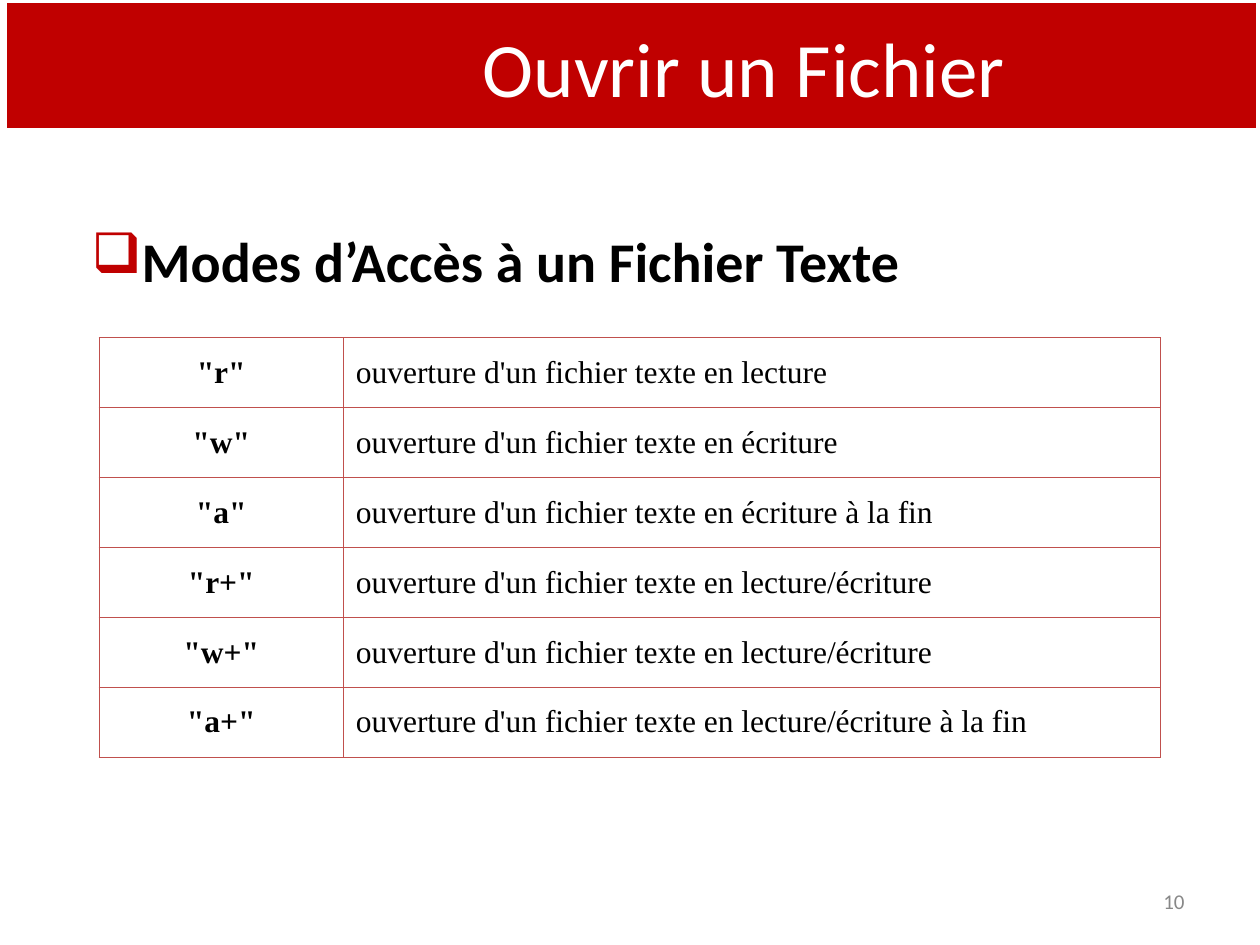
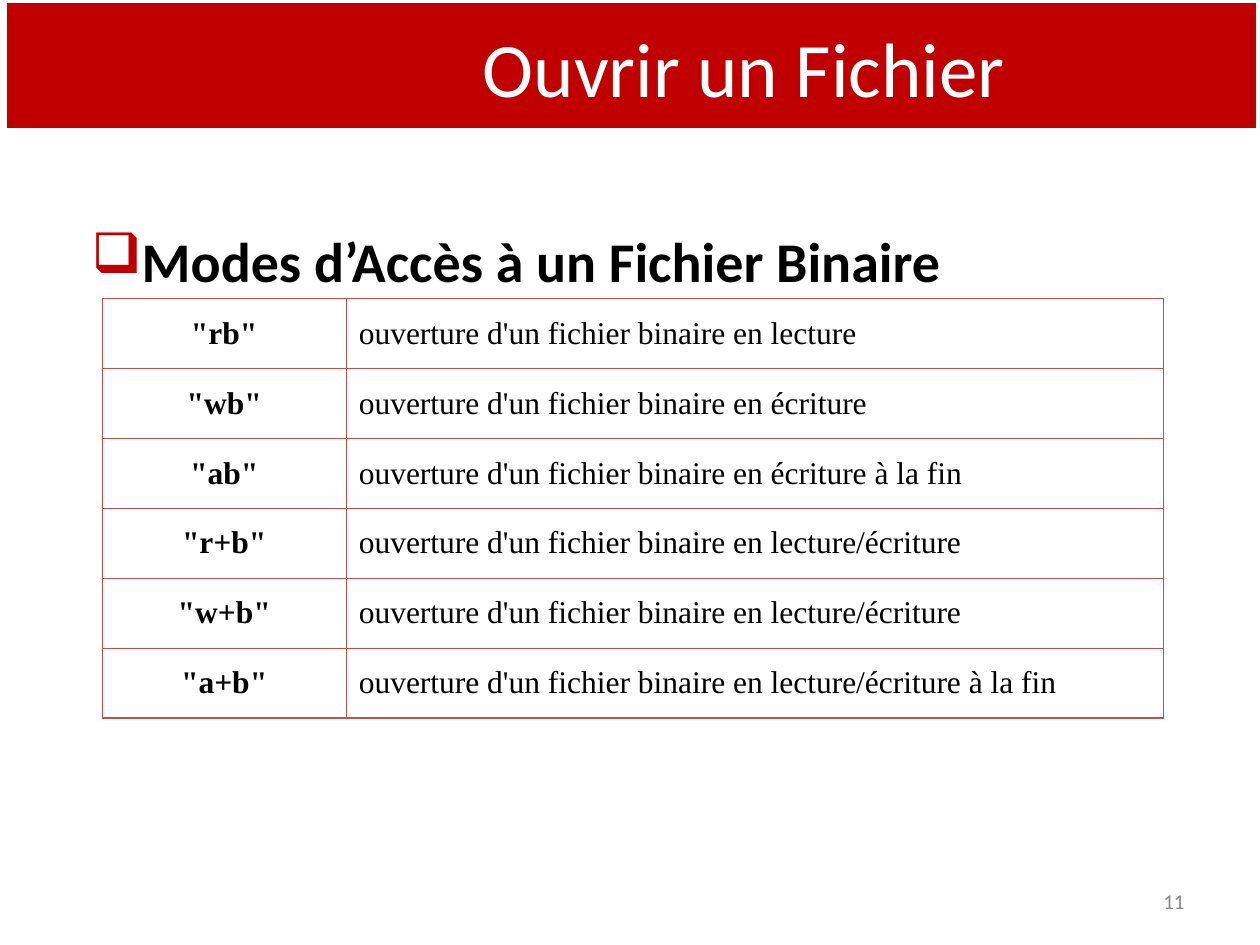
from lxml.etree import SubElement
from pptx import Presentation
from pptx.dml.color import RGBColor
from pptx.enum.shapes import MSO_SHAPE
from pptx.enum.text import MSO_ANCHOR, MSO_AUTO_SIZE, PP_ALIGN
from pptx.oxml.ns import qn
from pptx.util import Cm, Pt

# Content
TITLE = "Ouvrir un Fichier"
FIRST_NUMBER = 10
ACCESS = ["lecture", "écriture", "écriture à la fin",
          "lecture/écriture", "lecture/écriture", "lecture/écriture à la fin"]
SLIDES = [
    {"kind": "Texte", "modes": ["r", "w", "a", "r+", "w+", "a+"],
     "table_at": (2.0, 6.81)},
    {"kind": "Binaire", "modes": ["rb", "wb", "ab", "r+b", "w+b", "a+b"],
     "table_at": (2.06, 6.02)},
]

# Shared style
RED = RGBColor(0xC0, 0x00, 0x00)
BORDER = RGBColor(0xC0, 0x50, 0x4D)
WHITE = RGBColor(0xFF, 0xFF, 0xFF)
BLACK = RGBColor(0x00, 0x00, 0x00)
GREY = RGBColor(0x88, 0x88, 0x88)
BODY_FONT, TABLE_FONT = "Calibri", "Times New Roman"
COLUMN_WIDTHS = (4.92, 16.47)
ROW_HEIGHT = 1.41


def write(frame, text, size, color, font=BODY_FONT, bold=False,
          align=PP_ALIGN.LEFT, anchor=MSO_ANCHOR.MIDDLE):
    frame.text = text
    frame.word_wrap = True
    frame.vertical_anchor = anchor
    paragraph = frame.paragraphs[0]
    paragraph.alignment = align
    paragraph.font.name = font
    paragraph.font.size = Pt(size)
    paragraph.font.bold = bold
    paragraph.font.color.rgb = color
    return paragraph


def add_text(slide, box, *args, **style):
    shape = slide.shapes.add_textbox(*map(Cm, box))
    return write(shape.text_frame, *args, **style)


def add_title_band(slide):
    band = slide.shapes.add_shape(MSO_SHAPE.RECTANGLE, Cm(0.1), Cm(0.03), Cm(25.25), Cm(2.59))
    band.shadow.inherit = False
    band.fill.solid()
    band.fill.fore_color.rgb = RED
    band.line.color.rgb = WHITE
    band.line.width = Pt(2)
    title = slide.shapes.title
    title.left, title.top, title.width, title.height = map(Cm, (4.75, 0.46, 20.5, 1.75))
    write(title.text_frame, TITLE, 44, WHITE, align=PP_ALIGN.CENTER)
    title.text_frame.auto_size = MSO_AUTO_SIZE.NONE
    # The band goes behind the title
    title._element.addprevious(band._element)


def add_heading(slide, text):
    paragraph = add_text(slide, (1.27, 4.45, 22.86, 12.57), text, 32, BLACK,
                         bold=True, anchor=MSO_ANCHOR.TOP)
    paragraph.space_before = Pt(3.6)
    properties = paragraph._p.get_or_add_pPr()
    properties.set("marL", str(Cm(1.27)))
    properties.set("indent", str(Cm(-0.94)))
    bullet_color = SubElement(properties, qn("a:buClr"))
    SubElement(bullet_color, qn("a:srgbClr"), val=str(RED))
    SubElement(properties, qn("a:buChar"), char="❑")


def add_borders(cell):
    properties = cell._tc.get_or_add_tcPr()
    for position, side in enumerate(("lnL", "lnR", "lnT", "lnB")):
        line = SubElement(properties, qn("a:" + side), w=str(Pt(0.75)))
        fill = SubElement(line, qn("a:solidFill"))
        SubElement(fill, qn("a:srgbClr"), val=str(BORDER))
        properties.insert(position, line)


def add_mode_table(slide, kind, modes, table_at):
    size = (sum(COLUMN_WIDTHS), ROW_HEIGHT * len(modes))
    table = slide.shapes.add_table(len(modes), 2, *map(Cm, table_at + size)).table
    table.first_row = table.horz_banding = False
    for column, width in zip(table.columns, COLUMN_WIDTHS):
        column.width = Cm(width)
    for row, (mode, access) in enumerate(zip(modes, ACCESS)):
        code, meaning = table.cell(row, 0), table.cell(row, 1)
        write(code.text_frame, f'"{mode}"', 18, BLACK, TABLE_FONT, True, PP_ALIGN.CENTER)
        write(meaning.text_frame, f"ouverture d'un fichier {kind.lower()} en {access}",
              18, BLACK, TABLE_FONT)
        code.margin_left = code.margin_right = Cm(0.03)
        for cell in (code, meaning):
            cell.vertical_anchor = MSO_ANCHOR.MIDDLE
            cell.fill.background()
            add_borders(cell)


# Build the slides
presentation = Presentation()
presentation.slide_width, presentation.slide_height = Cm(25.4), Cm(19.05)
title_only = presentation.slide_layouts[5]
for number, content in enumerate(SLIDES, FIRST_NUMBER):
    slide = presentation.slides.add_slide(title_only)
    add_heading(slide, f"Modes d’Accès à un Fichier {content['kind']}")
    add_mode_table(slide, **content)
    add_text(slide, (18.2, 17.66, 5.93, 1.01), str(number), 12, GREY, align=PP_ALIGN.RIGHT)
    add_title_band(slide)

presentation.save("out.pptx")
